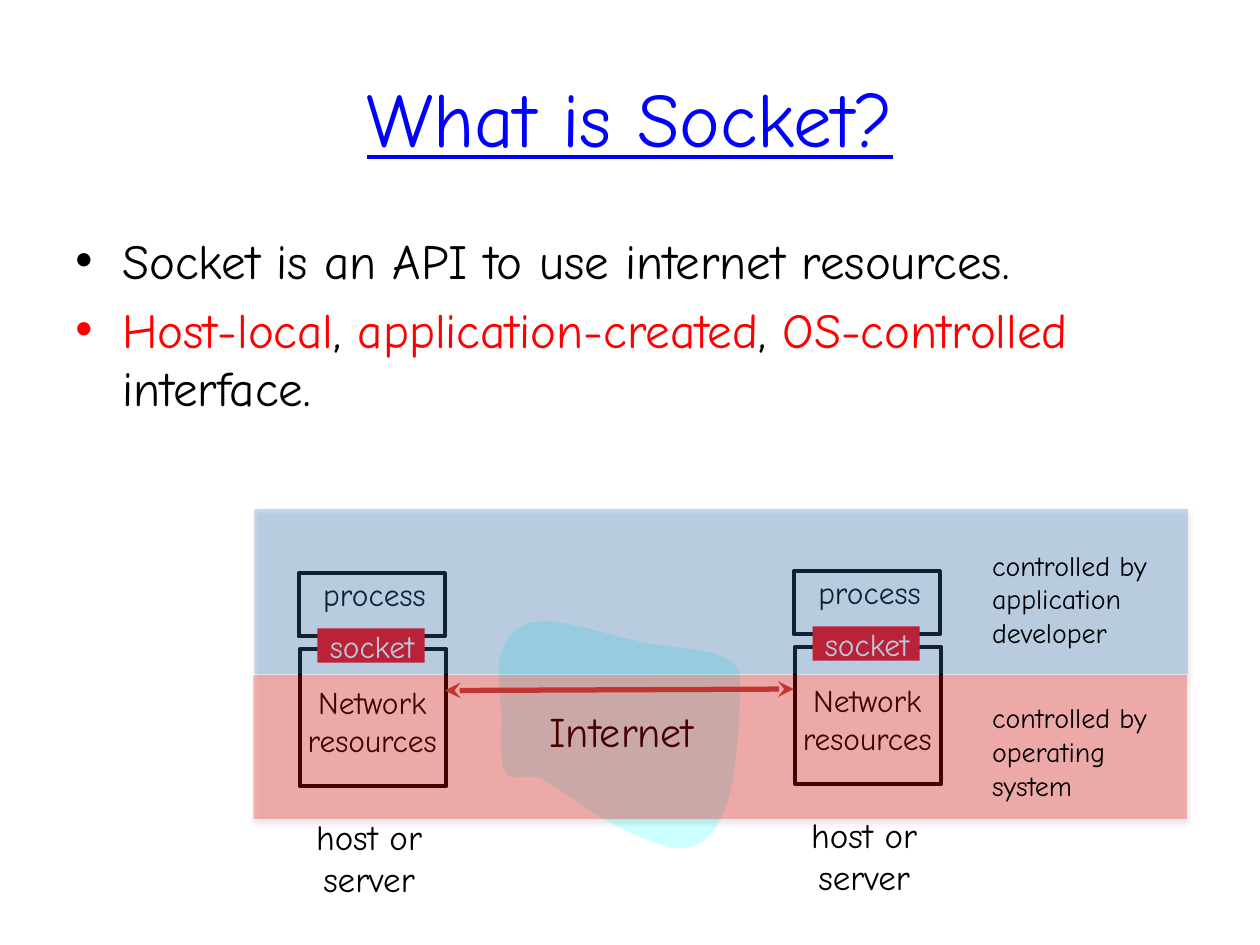
from dataclasses import dataclass

from lxml import etree
from pptx import Presentation
from pptx.dml.color import RGBColor
from pptx.enum.shapes import MSO_CONNECTOR, MSO_SHAPE
from pptx.enum.text import MSO_ANCHOR, PP_ALIGN
from pptx.oxml.ns import qn
from pptx.util import Cm, Pt

RECT = MSO_SHAPE.RECTANGLE
STRAIGHT = MSO_CONNECTOR.STRAIGHT
TOP, MIDDLE = MSO_ANCHOR.TOP, MSO_ANCHOR.MIDDLE
LEFT, CENTER = PP_ALIGN.LEFT, PP_ALIGN.CENTER


@dataclass(frozen=True)
class Theme:
    font: str = "Comic Neue"
    black: str = "000000"
    white: str = "FFFFFF"
    red: str = "FF0000"
    title: str = "0000FF"
    cloud: str = "CCFFFF"
    arrow: str = "C0504D"
    app_band: str = "3F80CD"
    title_size: int = 44
    body_size: int = 28
    cloud_size: int = 24
    host_size: int = 20
    label_size: int = 18
    caption_size: int = 16


def add_xml(parent, tag, **attrs):
    return etree.SubElement(parent, qn(tag), attrs)


class SlideBuilder:
    def __init__(self, slide, theme):
        self.s = slide
        self.theme = theme

    def style(self, run, size, color, **extra):
        formats = {"name": self.theme.font, "size": Pt(size), **extra}
        for name, value in formats.items():
            setattr(run.font, name, value)
        run.font.color.rgb = RGBColor.from_string(color)

    def title(self, text, x, y, w, h):
        sp = self.s.shapes.title
        sp.left, sp.top, sp.width, sp.height = map(Cm, (x, y, w, h))
        tf = sp.text_frame
        tf.vertical_anchor = MIDDLE
        p = tf.paragraphs[0]
        p.alignment = CENTER
        r = p.add_run()
        r.text = text
        self.style(r, self.theme.title_size, self.theme.title, underline=True)

    def frame(self, x, y, w, h, anchor):
        tf = self.s.shapes.add_textbox(*map(Cm, (x, y, w, h))).text_frame
        tf.word_wrap = True
        tf.vertical_anchor = anchor
        return tf

    def text(self, lines, x, y, w, h, size, color=None, align=CENTER):
        tf = self.frame(x, y, w, h, MIDDLE)
        for i, line in enumerate(lines):
            p = tf.add_paragraph() if i else tf.paragraphs[0]
            p.alignment = align
            r = p.add_run()
            r.text = line
            self.style(r, size, color or self.theme.black)

    def bullets(self, items, x, y, w, h):
        tf = self.frame(x, y, w, h, TOP)
        for i, runs in enumerate(items):
            p = tf.add_paragraph() if i else tf.paragraphs[0]
            pPr = p._p.get_or_add_pPr()
            pPr.set("marL", str(Cm(0.95)))
            pPr.set("indent", str(-Cm(0.95)))
            add_xml(pPr, "a:buFont", typeface="Arial")
            add_xml(pPr, "a:buChar", char="•")
            if i:
                p.space_before = Pt(5.6)
            for text, color in runs:
                r = p.add_run()
                r.text = text
                self.style(r, self.theme.body_size, color)

    def paint(self, sp, fill=None, line=None):
        sp.shadow.inherit = False
        if fill:
            sp.fill.solid()
            sp.fill.fore_color.rgb = RGBColor.from_string(fill)
        else:
            sp.fill.background()
        if line:
            sp.line.color.rgb = RGBColor.from_string(line)
            sp.line.width = Pt(2.25)
        else:
            sp.line.fill.background()

    def rect(self, x, y, w, h, fill=None, line=None):
        sp = self.s.shapes.add_shape(RECT, *map(Cm, (x, y, w, h)))
        self.paint(sp, fill, line)
        return sp

    def band(self, x, y, w, h, color):
        """Translucent rectangle with a soft shadow below it."""
        spPr = self.rect(x, y, w, h, color)._element.spPr
        add_xml(spPr.find(f"{qn('a:solidFill')}/{qn('a:srgbClr')}"), "a:alpha", val="27000")
        shadow = add_xml(spPr.find(qn("a:effectLst")), "a:outerShdw", blurRad=str(Pt(3.1)),
                         dist=str(Pt(1.8)), dir="5400000", rotWithShape="0")
        black = add_xml(shadow, "a:srgbClr", val=self.theme.black)
        add_xml(black, "a:alpha", val="35000")

    def cloud(self, start, curves, color, steps=12):
        """Closed outline through cubic curves, each (control, control, end)."""
        points, p0 = [], start
        for p1, p2, p3 in curves:
            for t in (k / steps for k in range(1, steps + 1)):
                u = 1 - t
                points.append(tuple(
                    Cm(u**3 * a + 3 * u * u * t * b + 3 * u * t * t * c + t**3 * d)
                    for a, b, c, d in zip(p0, p1, p2, p3)))
            p0 = p3
        outline = self.s.shapes.build_freeform(Cm(start[0]), Cm(start[1]))
        outline.add_line_segments(points, close=True)
        self.paint(outline.convert_to_shape(), color)

    def double_arrow(self, x1, y1, x2, y2, color):
        line = self.s.shapes.add_connector(STRAIGHT, *map(Cm, (x1, y1, x2, y2)))
        line.line.color.rgb = RGBColor.from_string(color)
        line.line.width = Pt(3)
        spPr = line._element.spPr
        for end in ("a:headEnd", "a:tailEnd"):
            add_xml(spPr.find(qn("a:ln")), end, type="stealth")
        add_xml(spPr, "a:effectLst")

    def host(self, x, y):
        """Process and network boxes with the socket between them."""
        th = self.theme
        self.rect(x, y, 2.95, 1.27, th.white, th.black)
        self.text(["process"], x + 0.08, y - 0.1, 2.9, 1.02, th.label_size)
        self.text(["Network", "resources"], x - 0.23, y + 2.08, 3.43, 1.8, th.label_size)
        self.rect(x + 0.03, y + 1.52, 2.95, 2.77, line=th.black)
        self.rect(x + 0.38, y + 1.11, 2.16, 0.69, th.red)
        self.text(["socket"], x + 0.25, y + 0.96, 2.46, 1.02, th.label_size, th.white)
        self.text(["host or", "server"], x - 0.03, y + 4.75, 2.9, 1.96, th.host_size)


CLOUD_START = (10.92, 12.52)
CLOUD_CURVES = [
    ((10.46, 12.55), (10.26, 12.75), (10.13, 13.08)),
    ((9.98, 13.41), (10.08, 14.02), (10.11, 14.43)),
    ((10.11, 14.86), (10.06, 15.37), (10.19, 15.57)),
    ((10.34, 15.8), (10.57, 15.54), (10.95, 15.72)),
    ((11.33, 15.93), (12.01, 16.46), (12.5, 16.69)),
    ((12.98, 16.92), (13.49, 17.15), (13.84, 17.09)),
    ((14.2, 17.02), (14.45, 16.76), (14.63, 16.28)),
    ((14.81, 15.8), (14.91, 14.66), (14.91, 14.15)),
    ((14.91, 13.64), (14.99, 13.49), (14.66, 13.28)),
    ((14.33, 13.08), (13.51, 13.06), (12.88, 12.93)),
    ((12.27, 12.8), (11.38, 12.5), CLOUD_START),
]


def main():
    prs = Presentation()
    prs.slide_width, prs.slide_height = Cm(25.4), Cm(19.05)
    th = Theme()
    b = SlideBuilder(prs.slides.add_slide(prs.slide_layouts[5]), th)

    # Title and definition
    b.title("What is Socket?", 1.27, 0.76, 22.86, 3.18)
    b.bullets([
        [("Socket is an API to use internet resources.", th.black)],
        [("Host-local", th.red), (", ", th.black), ("application-created", th.red),
         (", ", th.black), ("OS-controlled ", th.red), ("interface.", th.black)],
    ], 1.27, 4.52, 22.86, 4.52)

    # Two hosts connected through the Internet
    b.host(6.02, 11.56)
    b.cloud(CLOUD_START, CLOUD_CURVES, th.cloud)
    b.text(["Internet"], 10.54, 14.1, 3.99, 1.27, th.cloud_size)
    b.double_arrow(16, 13.89, 8.97, 13.92, th.arrow)
    b.host(16, 11.52)

    # Control bands and their captions
    b.band(5.13, 10.26, 18.82, 3.33, th.app_band)
    b.band(5.11, 13.61, 18.82, 2.9, th.red)
    for y, owner in ((10.92, ["application", "developer"]), (14, ["operating", "system"])):
        b.text(["controlled by", *owner], 19.75, y, 3.96, 2.29, th.caption_size, align=LEFT)

    prs.save("out.pptx")


if __name__ == "__main__":
    main()
